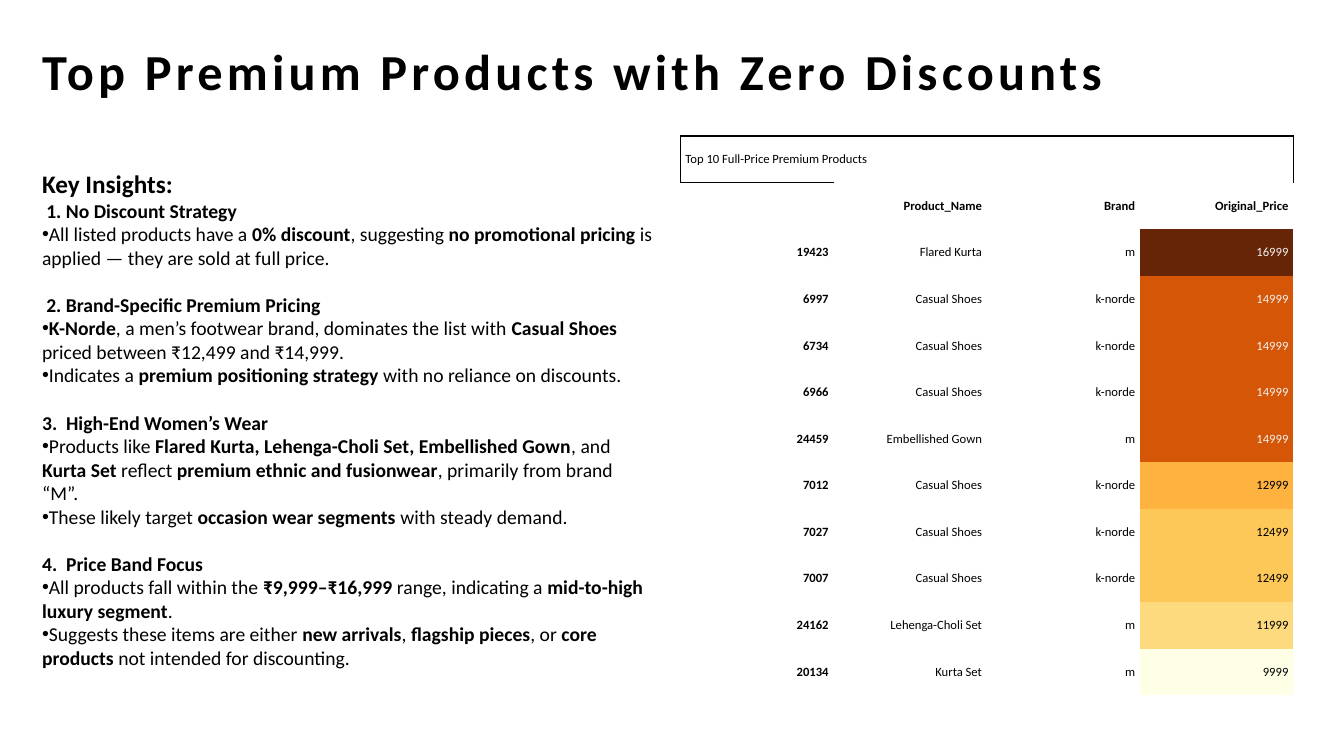
from dataclasses import dataclass

from lxml.etree import SubElement
from pptx import Presentation
from pptx.dml.color import RGBColor
from pptx.enum.text import MSO_ANCHOR, PP_ALIGN
from pptx.oxml.ns import qn
from pptx.util import Pt


@dataclass(frozen=True)
class Theme:
    font: str = "Calibri"
    text: str = "000000"
    light_text: str = "F1F1F1"
    paper: str = "FFFFFF"
    title: float = 36
    lead: float = 18
    body: float = 14
    table: float = 9


THEME = Theme()
PRICE_FILLS = {
    "16999": "662506", "14999": "D55607", "12999": "FEB23F",
    "12499": "FEC859", "11999": "FEDA7E", "9999": "FFFFE5",
}
LIGHT_TEXT_PRICES = {"16999", "14999"}

PRODUCTS = [
    ("", "Product_Name", "Brand", "Original_Price"),
    ("19423", "Flared Kurta", "m", "16999"),
    ("6997", "Casual Shoes", "k-norde", "14999"),
    ("6734", "Casual Shoes", "k-norde", "14999"),
    ("6966", "Casual Shoes", "k-norde", "14999"),
    ("24459", "Embellished Gown", "m", "14999"),
    ("7012", "Casual Shoes", "k-norde", "12999"),
    ("7027", "Casual Shoes", "k-norde", "12499"),
    ("7007", "Casual Shoes", "k-norde", "12499"),
    ("24162", "Lehenga-Choli Set", "m", "11999"),
    ("20134", "Kurta Set", "m", "9999"),
]

# Heading, left indent, and bullets with bold parts between ** marks
INSIGHTS = [
    ("1. No Discount Strategy", 3, [
        "All listed products have a **0% discount**, suggesting "
        "**no promotional pricing** is applied — they are sold at full price.",
    ]),
    ("2. Brand-Specific Premium Pricing", 3, [
        "**K-Norde**, a men’s footwear brand, dominates the list with "
        "**Casual Shoes** priced between ₹12,499 and ₹14,999.",
        "Indicates a **premium positioning strategy** with no reliance on discounts.",
    ]),
    ("3.  High-End Women’s Wear", 0, [
        "Products like **Flared Kurta, Lehenga-Choli Set, Embellished Gown**, and "
        "**Kurta Set** reflect **premium ethnic and fusionwear**, "
        "primarily from brand “M”.",
        "These likely target **occasion wear segments** with steady demand.",
    ]),
    ("4.  Price Band Focus", 0, [
        "All products fall within the **₹9,999–₹16,999** range, indicating a "
        "**mid-to-high luxury segment**.",
        "Suggests these items are either **new arrivals**, **flagship pieces**, "
        "or **core products** not intended for discounting.",
    ]),
]


def style_run(r, size, bold=False, color=THEME.text):
    r.font.name = THEME.font
    r.font.size = Pt(size)
    r.font.bold = bold
    r.font.color.rgb = RGBColor.from_string(color)


def add_text_box(shapes, left, top, width, height):
    """Add a wrapping, vertically centred text box and return its text frame."""
    tf = shapes.add_textbox(Pt(left), Pt(top), Pt(width), Pt(height)).text_frame
    tf.word_wrap = True
    tf.vertical_anchor = MSO_ANCHOR.MIDDLE
    return tf


prs = Presentation()
prs.slide_width, prs.slide_height = Pt(960), Pt(540)
s = prs.slides.add_slide(prs.slide_layouts[6])

# Title
tf = add_text_box(s.shapes, 23, 28.8, 871, 48.2)
p = tf.paragraphs[0]
p.text = "Top Premium Products with Zero Discounts"
p.line_spacing = 0.9
style_run(p.runs[0], THEME.title, bold=True)
p.runs[0].font._element.set("spc", "300")

# Product table
row_count, col_count = len(PRODUCTS) + 1, len(PRODUCTS[0])
frame = s.shapes.add_table(row_count, col_count, Pt(486), Pt(97.2), Pt(438), Pt(399.6))
table = frame.table
table.first_row = table.horz_banding = False
style_id = table._tbl.tblPr.find(qn("a:tableStyleId"))
style_id.text = "{2D5ABB26-0587-4C30-8999-92F81FD0307C}"

caption_row = ("Top 10 Full-Price Premium Products", "", "", "")
for i, row in enumerate([caption_row, *PRODUCTS]):
    for j, value in enumerate(row):
        cell = table.cell(i, j)
        cell.vertical_anchor = MSO_ANCHOR.MIDDLE
        cell.margin_left = cell.margin_right = Pt(3.6)
        cell.margin_top = cell.margin_bottom = Pt(1.44)

        # The caption is boxed; its bottom line runs under the first column only
        tcPr = cell._tc.get_or_add_tcPr()
        sides = {(0, 0): ("lnL", "lnR", "lnT", "lnB")}.get(
            (i, j), ("lnB",) if i == 0 else ("lnT",) if i == 1 and j else ())
        for side in sides:
            border = SubElement(tcPr, qn(f"a:{side}"), w=str(Pt(1)))
            if i == j == 0:
                fill = SubElement(border, qn("a:solidFill"))
                SubElement(fill, qn("a:srgbClr"), val=THEME.text)
            else:
                SubElement(border, qn("a:noFill"))

        cell.fill.solid()
        cell.fill.fore_color.rgb = RGBColor.from_string(PRICE_FILLS.get(value, THEME.paper))
        if not value:
            continue
        p = cell.text_frame.paragraphs[0]
        p.text = value
        p.alignment = PP_ALIGN.RIGHT if i else PP_ALIGN.LEFT
        color = THEME.light_text if value in LIGHT_TEXT_PRICES else THEME.text
        style_run(p.runs[0], THEME.table, bold=i == 1 or (i > 1 and j == 0), color=color)
table.cell(0, 0).merge(table.cell(0, col_count - 1))

# Key insights
tf = add_text_box(s.shapes, 23, 123.1, 450.7, 368.6)
tf.margin_bottom = Pt(20)
p = tf.paragraphs[0]
p.text = "Key Insights:"
style_run(p.runs[0], THEME.lead, bold=True)

for n, (heading, indent, bullets) in enumerate(INSIGHTS):
    p = tf.add_paragraph()
    p.text = heading
    p.space_before = Pt(16.8 if n else 0)
    p._p.get_or_add_pPr().set("marL", str(Pt(indent)))
    style_run(p.runs[0], THEME.body, bold=True)
    for bullet in bullets:
        p = tf.add_paragraph()
        pPr = p._p.get_or_add_pPr()
        pPr.set("marL", "0")
        pPr.set("indent", "0")
        SubElement(pPr, qn("a:buFont"), typeface="Arial")
        SubElement(pPr, qn("a:buChar"), char="•")
        for k, part in enumerate(bullet.split("**")):
            if part:
                r = p.add_run()
                r.text = part
                style_run(r, THEME.body, bold=k % 2 == 1)

prs.save("out.pptx")
